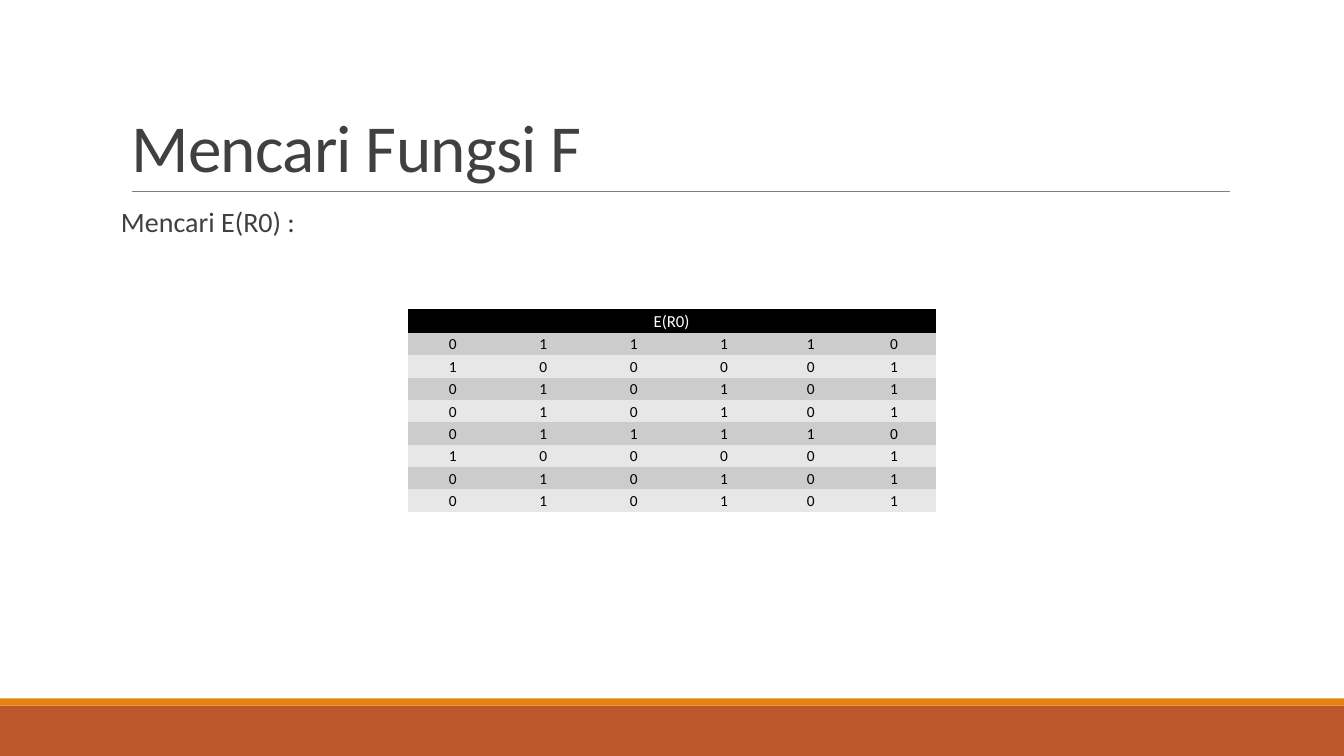
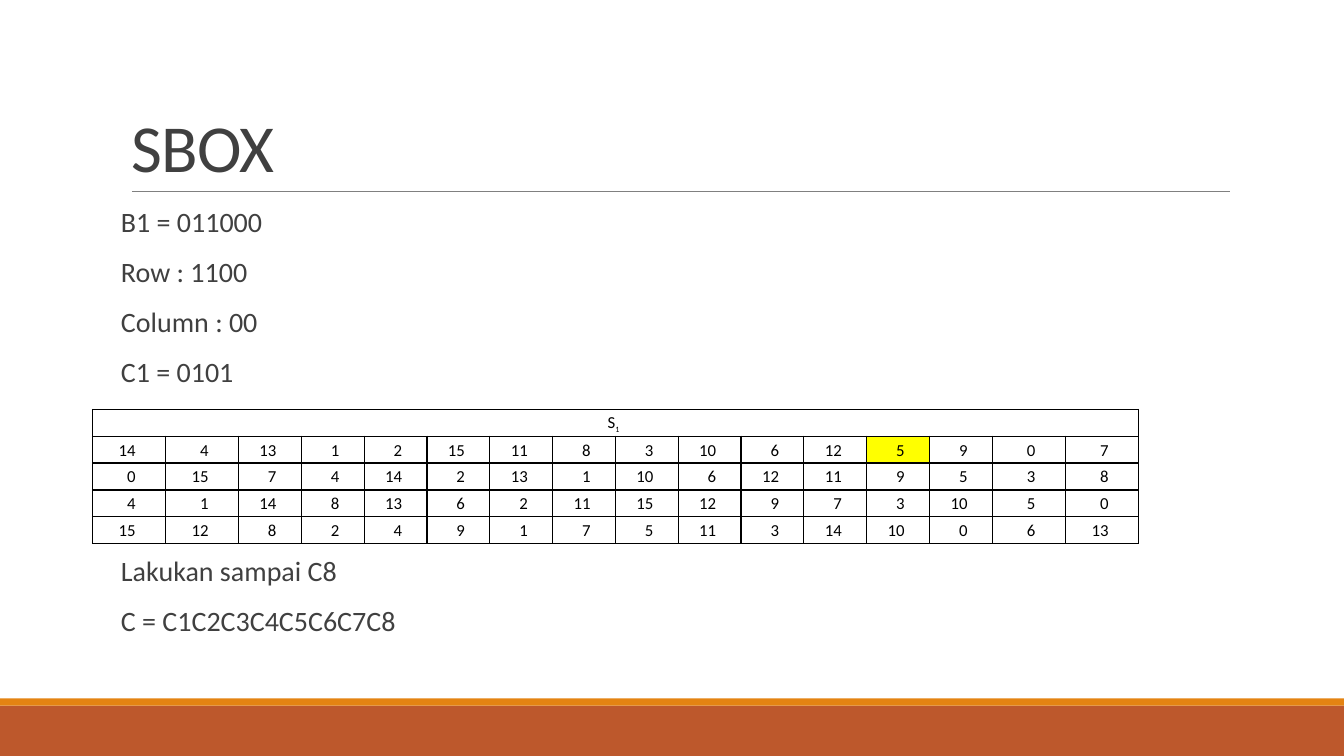
"""Build two slides on the DES function F and its S-box lookup."""
from dataclasses import dataclass

from lxml import etree
from pptx import Presentation
from pptx.dml.color import RGBColor
from pptx.enum import shapes, text
from pptx.oxml import ns
from pptx.util import Pt


@dataclass(frozen=True)
class Theme:
    font: str = "Calibri"
    ink: str = "404040"
    rule: str = "808080"
    band: str = "BD582C"
    stripe: str = "E48312"
    black: str = "000000"
    white: str = "FFFFFF"
    odd_row: str = "CCCCCC"
    even_row: str = "E7E7E7"
    highlight: str = "FFFF00"
    title_size: float = 48
    body_size: float = 20
    cell_size: float = 12
    bit_size: float = 11
    subscript_size: float = 10


theme = Theme()
NO_STYLE = "{2D5ABB26-0587-4C30-8999-92F81FD0307C}"


def write(holder, lines, size, color=theme.ink, align=text.PP_ALIGN.LEFT, spacing=0.9,
          before=0, after=0, tracking=0, anchor=text.MSO_ANCHOR.TOP, insets=(0, 3.6, 0, 3.6)):
    frame = holder.text_frame
    frame.word_wrap = True
    box = holder if hasattr(holder, "margin_left") else frame
    box.vertical_anchor = anchor
    box.margin_left, box.margin_top, box.margin_right, box.margin_bottom = map(Pt, insets)
    for index, line in enumerate(lines):
        paragraph = frame.add_paragraph() if index else frame.paragraphs[0]
        paragraph.alignment = align
        paragraph.line_spacing = spacing
        paragraph.space_before, paragraph.space_after = Pt(before), Pt(after)
        base, _, subscript = line.partition("_")
        for part, part_size, offset in ((base, size, 0), (subscript, theme.subscript_size, -25000)):
            if part:
                run = paragraph.add_run()
                run.text = part
                run.font.name = theme.font
                run.font.size = Pt(part_size)
                run.font.color.rgb = RGBColor.from_string(color)
                if offset:
                    run.font._element.set("baseline", str(offset))
                if tracking:
                    run.font._element.set("spc", str(int(tracking * 100)))


def add_grid(slide, left, top, widths, heights, border=None):
    grid = slide.shapes.add_table(len(heights), len(widths), Pt(left), Pt(top),
                                  Pt(sum(widths)), Pt(sum(heights))).table
    grid._tbl.tblPr.find(ns.qn("a:tableStyleId")).text = NO_STYLE
    grid.first_row = grid.horz_banding = False
    for column, width in zip(grid.columns, widths):
        column.width = Pt(width)
    for row, height in zip(grid.rows, heights):
        row.height = Pt(height)
    for cell in grid.iter_cells():
        if border:
            for side in ("lnL", "lnR", "lnT", "lnB"):
                edge = etree.SubElement(cell._tc.get_or_add_tcPr(), ns.qn(f"a:{side}"), w=str(Pt(1)))
                paint = etree.SubElement(edge, ns.qn("a:solidFill"))
                etree.SubElement(paint, ns.qn("a:srgbClr"), val=border)
        cell.fill.background()
    grid.cell(0, 0).merge(grid.cell(0, len(widths) - 1))
    return grid


deck = Presentation()
deck.slide_width, deck.slide_height = Pt(960), Pt(540)

contents = {
    "Mencari Fungsi F": ["Mencari E(R0) :"],
    "SBOX": ["B1 = 011000", "Row : 1100", "Column : 00", "C1 = 0101",
             "Lakukan sampai C8", "C = C1C2C3C4C5C6C7C8"],
}
slides, bodies = [], []
for heading, lines in contents.items():
    slide = deck.slides.add_slide(deck.slide_layouts[6])
    for top, height, color in ((504, 36, theme.band), (498.8, 5.2, theme.stripe)):
        band = slide.shapes.add_shape(shapes.MSO_SHAPE.RECTANGLE, 0, Pt(top), Pt(960), Pt(height))
        band.shadow.inherit = False
        band.fill.solid()
        band.fill.fore_color.rgb = RGBColor.from_string(color)
        band.line.fill.background()
    underline = slide.shapes.add_connector(shapes.MSO_CONNECTOR.STRAIGHT,
                                           Pt(94.3), Pt(136.8), Pt(878.5), Pt(136.8))
    underline.line.color.rgb = RGBColor.from_string(theme.rule)
    underline.line.width = Pt(0.5)
    etree.SubElement(underline._element.spPr, ns.qn("a:effectLst"))
    title = slide.shapes.add_textbox(Pt(86.8), Pt(22.6), Pt(792), Pt(114.2))
    write(title, [heading], theme.title_size, spacing=0.85, tracking=-0.5,
          anchor=text.MSO_ANCHOR.BOTTOM, insets=(7.2, 3.6, 7.2, 3.6))
    body = slide.shapes.add_textbox(Pt(86.4), Pt(145.4), Pt(792), Pt(316.8))
    write(body, lines, theme.body_size, before=12, after=2)
    slides.append(slide)
    bodies.append(body)

function_slide, sbox_slide = slides
bodies[1].text_frame.paragraphs[4].space_before = Pt(119)

cell_format = dict(spacing=1.07, anchor=text.MSO_ANCHOR.MIDDLE)
header_format = dict(cell_format, size=theme.cell_size, align=text.PP_ALIGN.CENTER,
                     insets=(0.72,) * 4)

expansion_rows = ["011110", "100001", "010101", "010101"] * 2
expansion = add_grid(function_slide, 291.2, 220.6, [64.6] * 4 + [59.4] * 2,
                     [17.1] + [16] * len(expansion_rows))
header = expansion.cell(0, 0)
write(header, ["E(R0)"], color=theme.white, **header_format)
header.fill.solid()
header.fill.fore_color.rgb = RGBColor.from_string(theme.black)
for row, bits in enumerate(expansion_rows, 1):
    for column, bit in enumerate(bits):
        cell = expansion.cell(row, column)
        write(cell, [bit], **dict(header_format, size=theme.bit_size, color=theme.black))
        cell.fill.solid()
        cell.fill.fore_color.rgb = RGBColor.from_string(theme.odd_row if row % 2 else theme.even_row)

sbox_rows = [
    [14, 4, 13, 1, 2, 15, 11, 8, 3, 10, 6, 12, 5, 9, 0, 7],
    [0, 15, 7, 4, 14, 2, 13, 1, 10, 6, 12, 11, 9, 5, 3, 8],
    [4, 1, 14, 8, 13, 6, 2, 11, 15, 12, 9, 7, 3, 10, 5, 0],
    [15, 12, 8, 2, 4, 9, 1, 7, 5, 11, 3, 14, 10, 0, 6, 13],
]
sbox_widths = [52.2] * 2 + [44.9] * 12 + [52.2] * 2
sbox = add_grid(sbox_slide, 66, 292.4, sbox_widths, [19.2] * 5, border=theme.black)
write(sbox.cell(0, 0), ["S_1"], color=theme.black,
      **dict(header_format, insets=(0.72, 0.72, 3.4, 0.72)))
for row, values in enumerate(sbox_rows, 1):
    for column, (value, width) in enumerate(zip(values, sbox_widths)):
        write(sbox.cell(row, column), [str(value)], theme.cell_size, theme.black,
              align=text.PP_ALIGN.RIGHT, insets=(0.72, 0.72, width / 2 - 4.7, 0.72), **cell_format)
chosen = sbox.cell(1, 12)
chosen.fill.solid()
chosen.fill.fore_color.rgb = RGBColor.from_string(theme.highlight)

deck.save("out.pptx")
